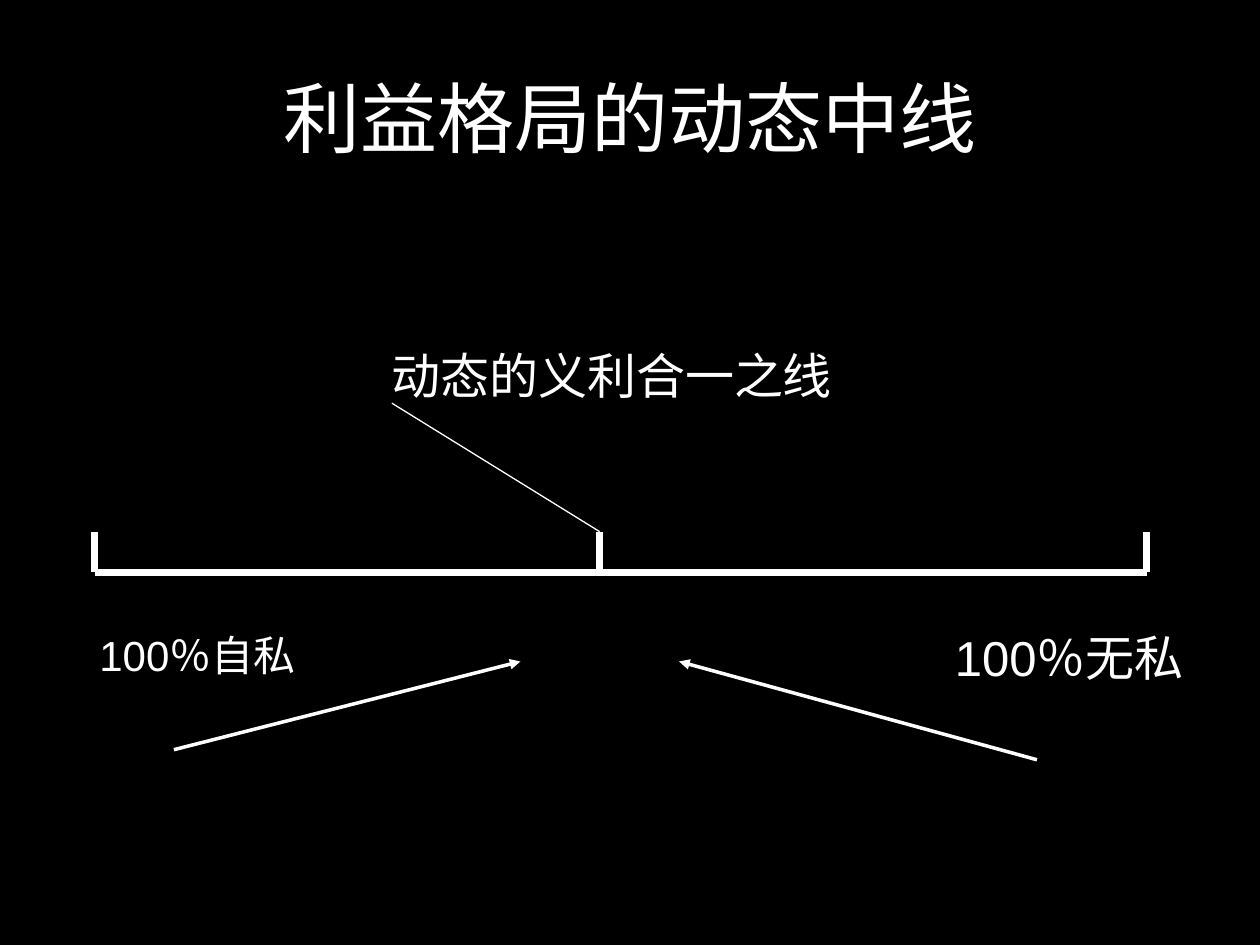
from lxml import etree
from pptx import Presentation
from pptx.dml.color import RGBColor
from pptx.enum.shapes import MSO_CONNECTOR
from pptx.enum.text import MSO_ANCHOR, MSO_AUTO_SIZE, PP_ALIGN
from pptx.oxml.ns import qn
from pptx.util import Inches, Pt

COLORS = {"background": "000000", "foreground": "FFFFFF"}
FONT = "Arial"


def add_text(paragraph, text, size):
    run = paragraph.add_run()
    run.text = text
    run.font.name = FONT
    run.font.size = Pt(size)
    run.font.color.rgb = RGBColor.from_string(COLORS["foreground"])


def add_title(slide, text, left, top, width, height):
    title = slide.shapes.title
    title.left, title.top = Inches(left), Inches(top)
    title.width, title.height = Inches(width), Inches(height)
    frame = title.text_frame
    frame.vertical_anchor = MSO_ANCHOR.MIDDLE
    paragraph = frame.paragraphs[0]
    paragraph.alignment = PP_ALIGN.CENTER
    add_text(paragraph, text, 44)


def add_label(slide, text, size, left, top, width, height):
    shape = slide.shapes.add_textbox(
        Inches(left), Inches(top), Inches(width), Inches(height))
    frame = shape.text_frame
    frame.word_wrap = False
    frame.auto_size = MSO_AUTO_SIZE.SHAPE_TO_FIT_TEXT
    add_text(frame.paragraphs[0], text, size)


def add_line(slide, start, end, width, arrow=False):
    """Draw a straight line, with an arrowhead at its end if asked."""
    connector = slide.shapes.add_connector(
        MSO_CONNECTOR.STRAIGHT, *map(Inches, start + end))
    connector.line.width = Pt(width)
    connector.line.color.rgb = RGBColor.from_string(COLORS["foreground"])
    if arrow:
        line = connector.line._get_or_add_ln()
        etree.SubElement(line, qn("a:tailEnd"), type="triangle")
    etree.SubElement(connector._element.spPr, qn("a:effectLst"))


def add_scale(slide, left, top, width, height, middle):
    """Draw the base line with ticks at both ends and at the dynamic middle."""
    bottom = top + height
    add_line(slide, (left, bottom), (left + width, bottom), 4)
    for offset in (0, middle, width):
        add_line(slide, (left + offset, bottom), (left + offset, top), 4)
    add_line(slide, (left + middle, top), (left + 2.36, top - 1.02), 0.75)
    add_label(slide, "动态的义利合一之线", 28, left + 2.26, top - 1.53, 3.8, 0.57)


def add_extremes(slide, left, top):
    """Name both ends of the scale and point from each towards the middle."""
    add_label(slide, "100％自私", 24, left, top + 0.02, 1.95, 0.5)
    add_label(slide, "100％无私", 28, left + 6.79, top, 2.2, 0.57)
    tip = top + 0.32
    add_line(slide, (left + 0.69, tip + 0.7), (left + 3.44, tip), 2, arrow=True)
    add_line(slide, (left + 7.54, tip + 0.78), (left + 4.7, tip), 2, arrow=True)


def main():
    presentation = Presentation()
    presentation.slide_width = Inches(10)
    presentation.slide_height = Inches(7.5)
    slide = presentation.slides.add_slide(presentation.slide_layouts[5])
    fill = slide.background.fill
    fill.solid()
    fill.fore_color.rgb = RGBColor.from_string(COLORS["background"])

    add_title(slide, "利益格局的动态中线", 0.5, 0.3, 9, 1.25)
    add_scale(slide, 0.75, 4.22, 8.35, 0.32, middle=4.01)
    add_extremes(slide, 0.69, 4.93)
    presentation.save("out.pptx")


if __name__ == "__main__":
    main()
